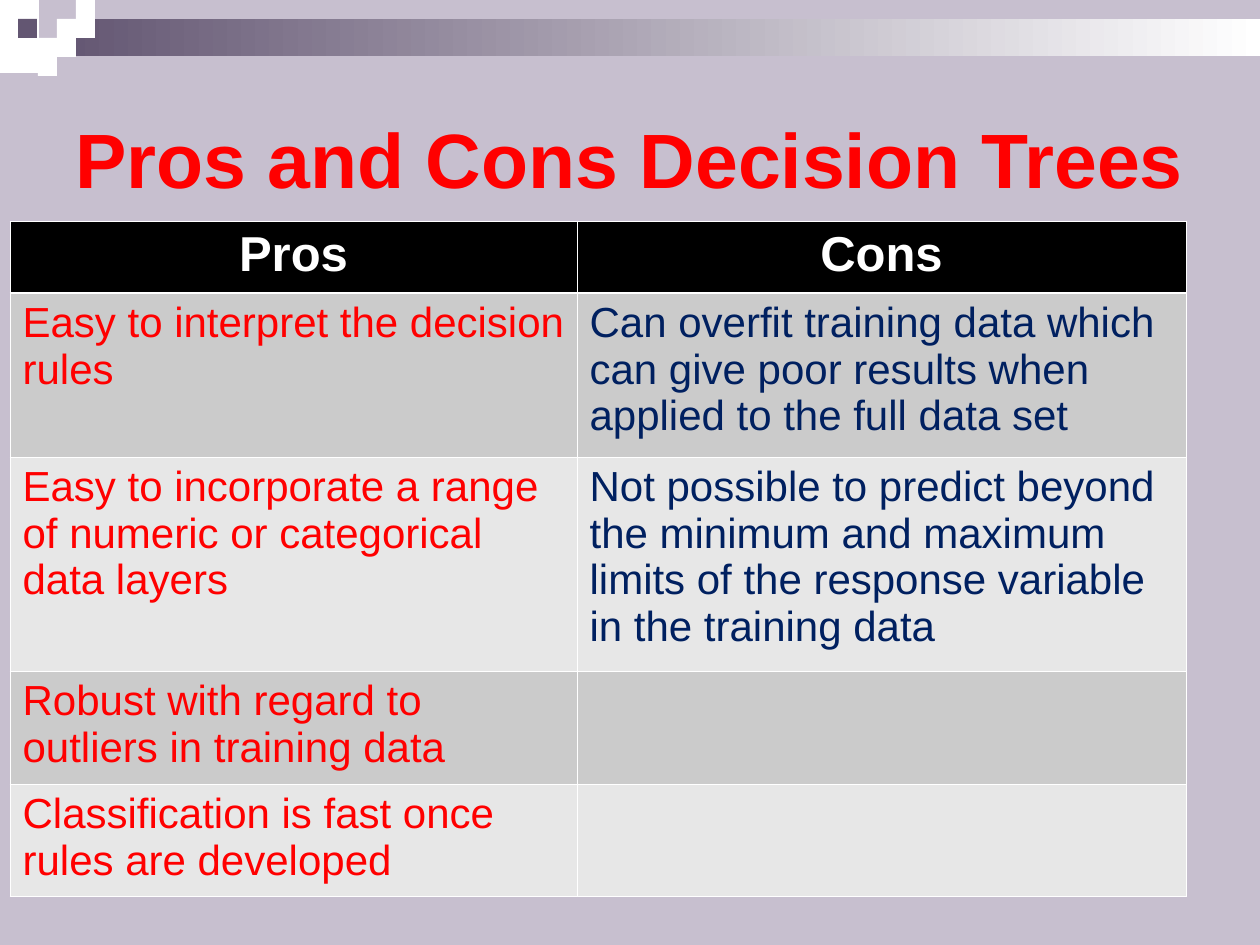
from pptx import Presentation
from pptx.dml.color import RGBColor as Rgb
from pptx.enum.shapes import MSO_SHAPE as Kind
from pptx.enum.text import MSO_ANCHOR as Anchor, MSO_AUTO_SIZE as Fit, PP_ALIGN as Align
from pptx.oxml.ns import qn
from pptx.util import Pt
from lxml.etree import SubElement as Sub

SCALE = 914400 / 126
COLORS = {
    "back": "C7BFCF", "plum": "635672", "white": "FFFFFF", "red": "FF0000",
    "navy": "002060", "black": "000000", "dark": "CBCBCB", "light": "E7E7E7",
}
SQUARES = [(57, 19), (76, 0), (76, 19), (38, 38), (57, 38), (38, 57)]
COLS = [567, 609]
ROWS = [72, 164, 214, 113, 113]
CELLS = [
    ("Pros", "Cons"),
    ("Easy to interpret the decision rules",
     "Can overfit training data which can give poor results when "
     "applied to the full data set"),
    ("Easy to incorporate a range of numeric or categorical data layers",
     "Not possible to predict beyond the minimum and maximum limits "
     "of the response variable in the training data"),
    ("Robust with regard to outliers in training data", ""),
    ("Classification is fast once rules are developed", ""),
]


def px(n):
    return round(n * SCALE)


def rgb(name):
    return Rgb.from_string(COLORS[name])


def style(frame, size, color, bold, align):
    para = frame.paragraphs[0]
    para.alignment = align
    for run in para.runs:
        font = run.font
        font.name, font.size, font.bold = "Arial", Pt(size), bold
        font.color.rgb = rgb(color)


def add_rect(slide, box, color, end=None):
    """Draw a plain rectangle, fading from color to end if end is given."""
    rect = slide.shapes.add_shape(Kind.RECTANGLE, *map(px, box))
    rect.shadow.inherit = False
    rect.line.fill.background()
    if end:
        rect.fill.gradient()
        rect.fill.gradient_angle = 0
        for stop, name in zip(rect.fill.gradient_stops, (color, end)):
            stop.color.rgb = rgb(name)
    else:
        rect.fill.solid()
        rect.fill.fore_color.rgb = rgb(color)


def add_banner(slide):
    add_rect(slide, (0, 0, 39, 73), "white")
    add_rect(slide, (57, 19, 1203, 37), "plum", "white")
    for x, y in SQUARES:
        add_rect(slide, (x, y, 19, 19), "white")
    add_rect(slide, (18, 19, 19, 19), "plum")


def set_title(slide, text):
    title = slide.shapes.title
    title.left, title.top, title.width, title.height = map(px, (63, 63, 1197, 189))
    frame = title.text_frame
    frame.text = text
    frame.auto_size = Fit.NONE
    frame.vertical_anchor = Anchor.MIDDLE
    style(frame, 44, "red", True, Align.LEFT)


def set_edges(cell, row):
    """Give the cell white borders, thicker below the header row."""
    thick = {0: "lnB", 1: "lnT"}.get(row)
    props = cell._tc.get_or_add_tcPr()
    for side in ("lnL", "lnR", "lnT", "lnB"):
        width = Pt(1.47 if side == thick else 0.45)
        line = Sub(props, qn("a:" + side), w=str(width))
        fill = Sub(line, qn("a:solidFill"))
        Sub(fill, qn("a:srgbClr"), val=COLORS["white"])


def fill_cell(cell, row, col):
    set_edges(cell, row)
    shade = "black" if row == 0 else ("light", "dark")[row % 2]
    cell.fill.solid()
    cell.fill.fore_color.rgb = rgb(shade)
    cell.text_frame.text = CELLS[row][col]
    if row == 0:
        style(cell.text_frame, 28, "white", True, Align.CENTER)
    else:
        style(cell.text_frame, 24, ("red", "navy")[col], False, Align.LEFT)


def add_grid(slide):
    box = map(px, (10, 221, sum(COLS), sum(ROWS)))
    table = slide.shapes.add_table(len(ROWS), len(COLS), *box).table
    for col, width in enumerate(COLS):
        table.columns[col].width = px(width)
    for row, height in enumerate(ROWS):
        table.rows[row].height = px(height)
        for col in range(len(COLS)):
            fill_cell(table.cell(row, col), row, col)


def main():
    prs = Presentation()
    prs.slide_width, prs.slide_height = px(1260), px(945)
    slide = prs.slides.add_slide(prs.slide_layouts[5])
    slide.background.fill.solid()
    slide.background.fill.fore_color.rgb = rgb("back")
    add_banner(slide)
    set_title(slide, "Pros and Cons Decision Trees")
    add_grid(slide)
    prs.save("out.pptx")


if __name__ == "__main__":
    main()
